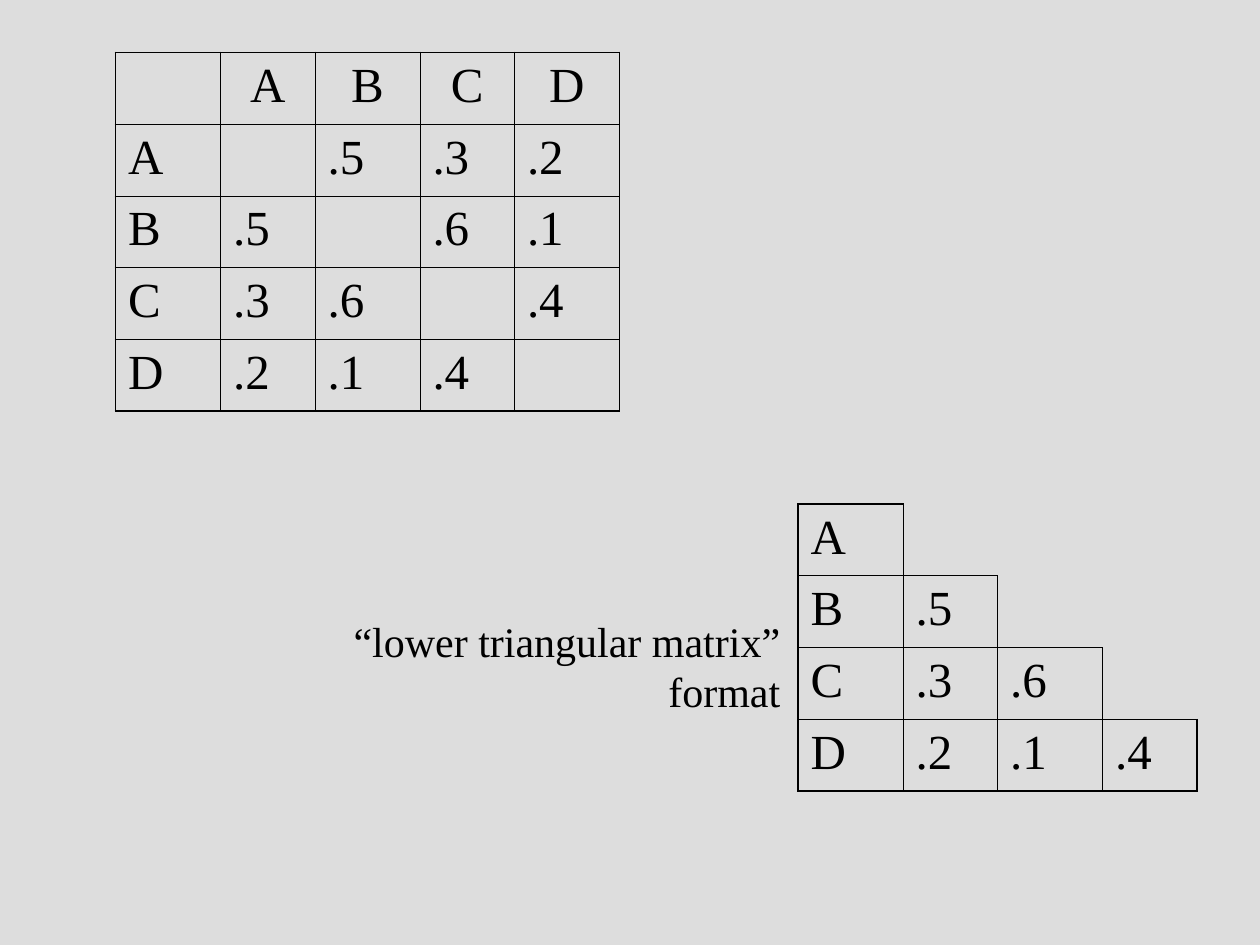
from lxml.etree import SubElement
from pptx import Presentation
from pptx.dml.color import RGBColor
from pptx.enum.text import MSO_AUTO_SIZE as AutoSize, PP_ALIGN as Align
from pptx.oxml.ns import qn
from pptx.util import Pt

BLACK = RGBColor(0, 0, 0)
GREY = RGBColor(0xDD, 0xDD, 0xDD)
FONT = "Times New Roman"
WIDE, NARROW, ROW_HEIGHT = 60, 54, 41
THIN, THICK = 0.45, 1.08
SIDES = {"lnL": (0, -1), "lnR": (0, 1), "lnT": (-1, 0), "lnB": (1, 0)}

DISTANCES = [
    ["", "A", "B", "C", "D"],
    ["A", "", ".5", ".3", ".2"],
    ["B", ".5", "", ".6", ".1"],
    ["C", ".3", ".6", "", ".4"],
    ["D", ".2", ".1", ".4", ""],
]
LOWER_TRIANGLE = [row[:count] for count, row in enumerate(DISTANCES) if count]


def style_text(para, size, align, space_before):
    """Set the font, alignment and spacing of a paragraph."""
    para.alignment = align
    para.space_before = Pt(space_before)
    para.font.name = FONT
    para.font.size = Pt(size)
    para.font.color.rgb = BLACK


def border_width(rows, row, column, step):
    """Return the width of one cell side, or 0 where no line is drawn."""
    def is_drawn(r, c):
        return 0 <= r < len(rows) and 0 <= c < len(rows[r])

    next_row, next_column = row + step[0], column + step[1]
    on_edge = not (0 <= next_row < len(rows) and 0 <= next_column < len(rows[-1]))
    drawn = is_drawn(row, column)
    if on_edge:
        return THICK if drawn else 0
    return THIN if drawn or is_drawn(next_row, next_column) else 0


def set_border(cell, side, width):
    """Draw one side of a cell, or clear it when the width is 0."""
    line = SubElement(cell._tc.get_or_add_tcPr(), qn(f"a:{side}"), w=str(Pt(width)))
    if width:
        fill = SubElement(line, qn("a:solidFill"))
        SubElement(fill, qn("a:srgbClr"), val=str(BLACK))
    else:
        SubElement(line, qn("a:noFill"))


def add_matrix(page, left, top, rows, has_header=False):
    """Place a matrix whose borders follow the cells present in each row."""
    widths = [NARROW if index % 2 else WIDE for index in range(len(rows[-1]))]
    frame = page.shapes.add_table(
        len(rows), len(widths), Pt(left), Pt(top),
        Pt(sum(widths)), Pt(ROW_HEIGHT * len(rows)))
    table = frame.table
    table.first_row = table.horz_banding = False
    for column, width in zip(table.columns, widths):
        column.width = Pt(width)
    for r, values in enumerate(rows):
        table.rows[r].height = Pt(ROW_HEIGHT)
        for c in range(len(widths)):
            cell = table.cell(r, c)
            for side, step in SIDES.items():
                set_border(cell, side, border_width(rows, r, c, step))
            cell.fill.background()
            if c < len(values) and values[c]:
                cell.text = values[c]
                align = Align.CENTER if has_header and r == 0 else Align.LEFT
                style_text(cell.text_frame.paragraphs[0], 28, align, 7)


def add_caption(page, left, top, width, height, text):
    """Place a right-aligned caption in the given box."""
    box = page.shapes.add_textbox(Pt(left), Pt(top), Pt(width), Pt(height))
    frame = box.text_frame
    frame.word_wrap = True
    frame.auto_size = AutoSize.SHAPE_TO_FIT_TEXT
    frame.text = text
    style_text(frame.paragraphs[0], 24, Align.RIGHT, 15)


def main():
    """Build the slide and save the deck."""
    deck = Presentation()
    deck.slide_width, deck.slide_height = Pt(720), Pt(540)
    page = deck.slides.add_slide(deck.slide_layouts[6])
    page.background.fill.solid()
    page.background.fill.fore_color.rgb = GREY
    add_matrix(page, 66, 30, DISTANCES, has_header=True)
    add_matrix(page, 456, 288, LOWER_TRIANGLE)
    add_caption(page, 168, 348, 285, 65, "“lower triangular matrix” format")
    deck.save("out.pptx")


if __name__ == "__main__":
    main()
